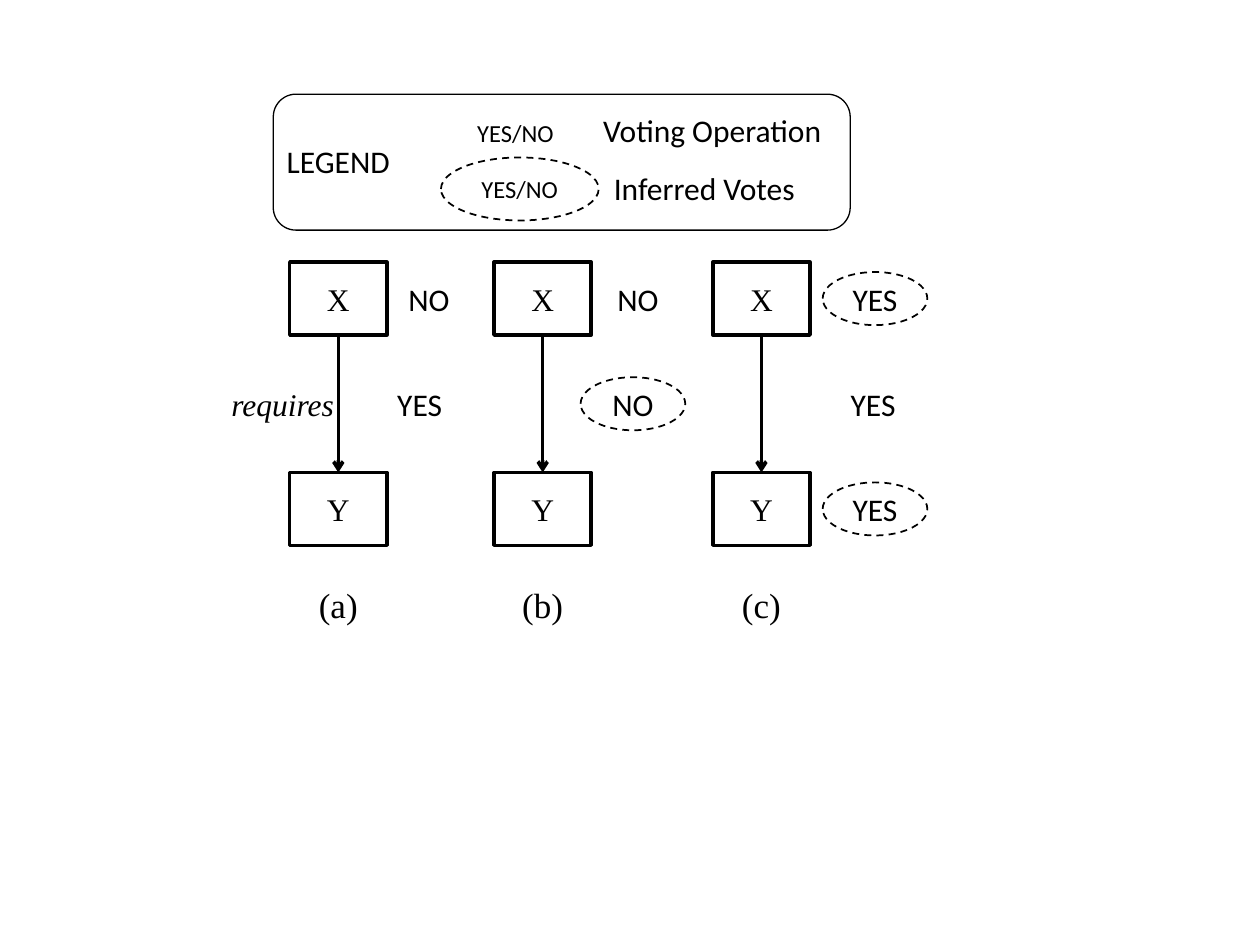
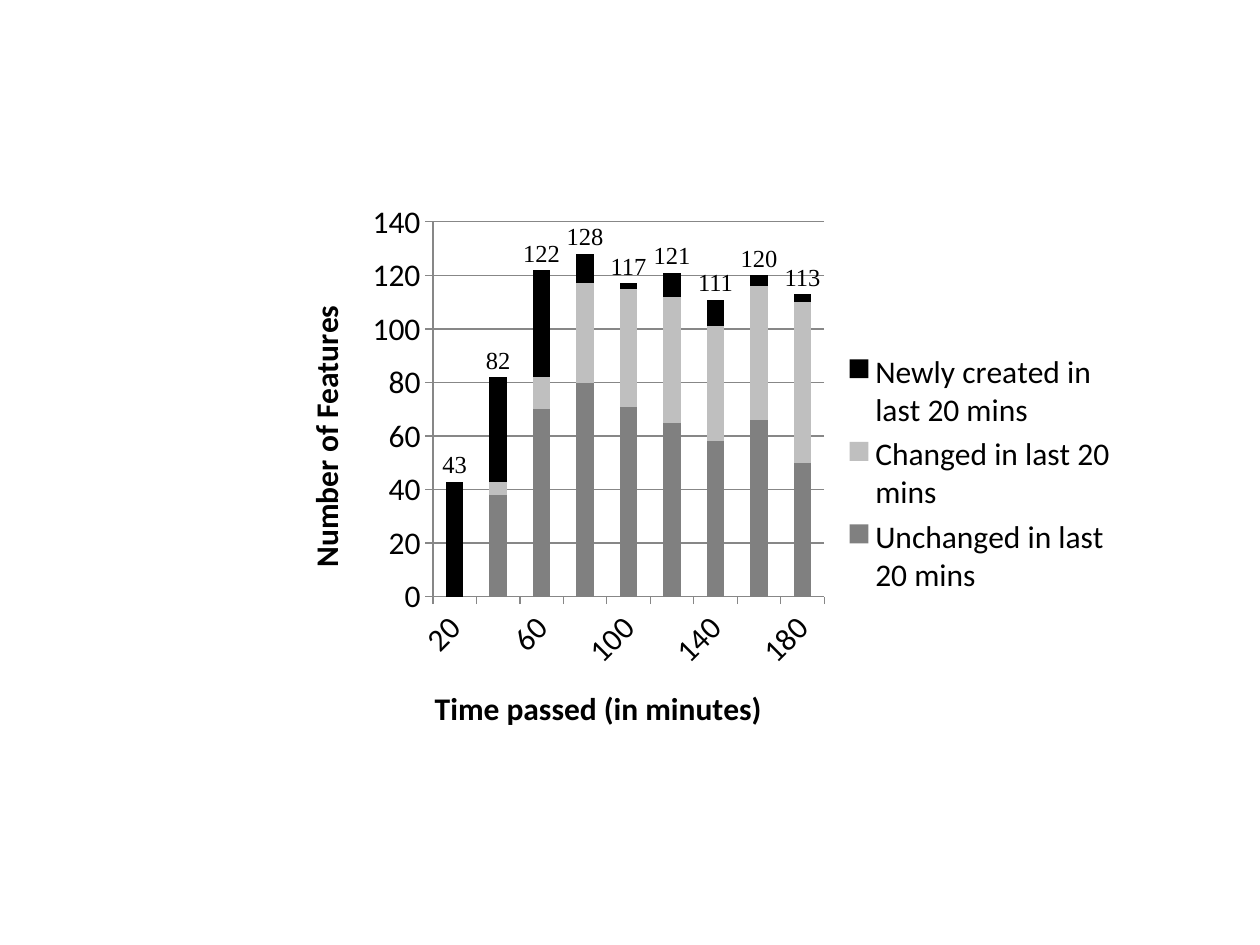
from lxml import etree
from pptx import Presentation
from pptx.chart.data import CategoryChartData
from pptx.dml.color import RGBColor
from pptx.enum.chart import XL_CHART_TYPE, XL_LEGEND_POSITION, XL_TICK_MARK
from pptx.enum.dml import MSO_LINE
from pptx.enum.shapes import MSO_CONNECTOR, MSO_SHAPE
from pptx.enum.text import MSO_ANCHOR, PP_ALIGN
from pptx.oxml import parse_xml
from pptx.oxml.ns import nsdecls, qn
from pptx.util import Cm, Pt

RECTANGLE = MSO_SHAPE.RECTANGLE
ROUNDED = MSO_SHAPE.ROUNDED_RECTANGLE
ELLIPSE = MSO_SHAPE.OVAL
STRAIGHT = MSO_CONNECTOR.STRAIGHT
DASH = MSO_LINE.DASH
CENTER, LEFT = PP_ALIGN.CENTER, PP_ALIGN.LEFT
MIDDLE = MSO_ANCHOR.MIDDLE
STACKED = XL_CHART_TYPE.COLUMN_STACKED
LEGEND_RIGHT = XL_LEGEND_POSITION.RIGHT
TICK_OUTSIDE = XL_TICK_MARK.OUTSIDE

BLACK, WHITE, GRID = "000000", "FFFFFF", "878787"
SANS, SERIF = "Calibri", "Times New Roman"
BLANK_LAYOUT = 6

NODE_WIDTH, NODE_HEIGHT = 1.96, 1.47
ROW_CENTERS = {"X": 0.74, "edge": 2.86, "Y": 4.98}
CAPTION_CENTER = 6.91
PANEL_TOP = 5.28
PANELS = [
    (5.84, "(a)", [("NO", "X", 2.81, False), ("YES", "edge", 2.62, False)]),
    (9.96, "(b)", [("NO", "X", 2.9, False), ("NO", "edge", 2.8, True)]),
    (14.37, "(c)", [("YES", "X", 3.27, True), ("YES", "edge", 3.23, False),
                    ("YES", "Y", 3.27, True)]),
]

MINUTES = range(20, 181, 20)
FEATURES = [
    ("Unchanged in last 20 mins", "808080", [0, 38, 70, 80, 71, 65, 58, 66, 50]),
    ("Changed in last 20 mins", "BFBFBF", [0, 5, 12, 37, 44, 47, 43, 50, 60]),
    ("Newly created in last 20 mins", BLACK, [43, 39, 40, 11, 2, 9, 10, 4, 3]),
]
AXIS_MAXIMUM = 140
PLOT_SHARE = {"x": 0.18, "y": 0.05, "w": 0.46, "h": 0.67}


def color(value):
    return RGBColor.from_string(value)


def style_font(font, size, name=SANS, bold=False, italic=False):
    font.size = Pt(size)
    font.name = name
    font.bold = bold
    font.italic = italic
    font.color.rgb = color(BLACK)


def write(shape, text, size, name=SANS, italic=False):
    frame = shape.text_frame
    frame.word_wrap = False
    frame.vertical_anchor = MIDDLE
    para = frame.paragraphs[0]
    para.text = text
    para.alignment = CENTER
    style_font(para.runs[0].font, size, name, italic=italic)


def add_label(page, text, center_x, center_y, width, size=18, name=SANS, italic=False):
    height = 1.02
    box = page.shapes.add_textbox(Cm(center_x - width / 2), Cm(center_y - height / 2),
                                  Cm(width), Cm(height))
    write(box, text, size, name, italic)
    return box


def add_outline(page, kind, left, top, width, height, line_width, fill=None):
    shape = page.shapes.add_shape(kind, Cm(left), Cm(top), Cm(width), Cm(height))
    shape.shadow.inherit = False
    if fill:
        shape.fill.solid()
        shape.fill.fore_color.rgb = color(fill)
    else:
        shape.fill.background()
    shape.line.color.rgb = color(BLACK)
    shape.line.width = Pt(line_width)
    return shape


def add_inferred_vote(page, text, center_x, center_y, width=2.11, height=1.07, size=18):
    vote = add_outline(page, ELLIPSE, center_x - width / 2, center_y - height / 2,
                       width, height, 1)
    vote.line.dash_style = DASH
    write(vote, text, size)


def add_arrow(page, source, target):
    arrow = page.shapes.add_connector(STRAIGHT, 0, 0, 0, 0)
    arrow.begin_connect(source, 2)
    arrow.end_connect(target, 0)
    arrow.line.color.rgb = color(BLACK)
    arrow.line.width = Pt(2)
    etree.SubElement(arrow.line._get_or_add_ln(), qn("a:tailEnd"), type="arrow")
    etree.SubElement(arrow._element.spPr, qn("a:effectLst"))


def add_legend(page, left, top):
    add_outline(page, ROUNDED, left, top, 11.63, 2.74, 0.75)
    add_label(page, "LEGEND", left + 1.31, top + 1.35, 2.62)
    add_inferred_vote(page, "YES/NO", left + 4.97, top + 1.91, 3.18, 1.27, 14)
    add_label(page, "Inferred Votes", left + 8.69, top + 1.88, 4.22)

    operation = page.shapes.add_textbox(Cm(left + 3.86), Cm(top + 0.21), Cm(7.9), Cm(1.02))
    operation.text_frame.word_wrap = True
    para = operation.text_frame.paragraphs[0]
    para.alignment = LEFT
    tabs = etree.SubElement(para._p.get_or_add_pPr(), qn("a:tabLst"))
    etree.SubElement(tabs, qn("a:tab"), pos=str(Cm(2.54)), algn="l")
    for text, size in [("YES/NO", 14), ("\tVoting Operation", 18)]:
        span = para.add_run()
        span.text = text
        style_font(span.font, size)


def add_panel(page, left, top, caption, votes):
    nodes = []
    for name in ("X", "Y"):
        node = add_outline(page, RECTANGLE, left, top + ROW_CENTERS[name] - NODE_HEIGHT / 2,
                           NODE_WIDTH, NODE_HEIGHT, 2, WHITE)
        write(node, name, 18, SERIF)
        nodes.append(node)
    add_arrow(page, *nodes)
    for text, row, offset, inferred in votes:
        center_x, center_y = left + offset, top + ROW_CENTERS[row]
        if inferred:
            add_inferred_vote(page, text, center_x, center_y)
        else:
            add_label(page, text, center_x, center_y, 1.42)
    add_label(page, caption, left + NODE_WIDTH / 2, top + CAPTION_CENTER, 1.35, 20, SERIF)


def build_voting_slide(deck):
    page = deck.slides.add_slide(deck.slide_layouts[BLANK_LAYOUT])
    requires = add_label(page, "requires", 5.7, PANEL_TOP + ROW_CENTERS["edge"], 2.67,
                         18, SERIF, True)
    requires.fill.solid()
    requires.fill.fore_color.rgb = color(WHITE)
    for left, caption, votes in PANELS:
        add_panel(page, left, PANEL_TOP, caption, votes)
    add_legend(page, 5.51, 1.9)


def style_axis(axis, title):
    axis.major_tick_mark = TICK_OUTSIDE
    axis.format.line.color.rgb = color(GRID)
    axis.format.line.width = Pt(0.75)
    style_font(axis.tick_labels.font, 18)
    axis.axis_title.text_frame.text = title
    style_font(axis.axis_title.text_frame.paragraphs[0].runs[0].font, 18, bold=True)


def fix_plot_area(plot):
    area = plot._element.getparent()
    for old in area.findall(qn("c:layout")):
        area.remove(old)
    shares = "".join(f'<c:{key} val="{value}"/>' for key, value in PLOT_SHARE.items())
    area.insert(0, parse_xml(
        f'<c:layout {nsdecls("c")}><c:manualLayout><c:layoutTarget val="inner"/>'
        f'<c:xMode val="edge"/><c:yMode val="edge"/>{shares}</c:manualLayout></c:layout>'))


def add_feature_chart(page, left, top, width, height):
    data = CategoryChartData()
    data.categories = [str(minute) for minute in MINUTES]
    for name, _, values in FEATURES:
        data.add_series(name, values)
    chart = page.shapes.add_chart(STACKED, Cm(left), Cm(top), Cm(width), Cm(height), data).chart
    style_font(chart.font, 18)
    chart.has_title = False
    chart.has_legend = True
    chart.legend.position = LEGEND_RIGHT
    chart.legend.include_in_layout = False
    style_font(chart.legend.font, 18)

    plot = chart.plots[0]
    plot.vary_by_categories = False
    plot.gap_width = 150
    plot.overlap = 100
    for series, (_, fill, _) in zip(plot.series, FEATURES):
        series.format.fill.solid()
        series.format.fill.fore_color.rgb = color(fill)
    fix_plot_area(plot)

    style_axis(chart.category_axis, "Time passed (in minutes)")
    chart.category_axis._element.find(qn("c:txPr")).find(qn("a:bodyPr")).set("rot", "-2700000")
    values_axis = chart.value_axis
    style_axis(values_axis, "Number of Features")
    values_axis.minimum_scale = 0
    values_axis.maximum_scale = AXIS_MAXIMUM
    values_axis.major_unit = 20
    values_axis.major_gridlines.format.line.color.rgb = color(GRID)
    values_axis.major_gridlines.format.line.width = Pt(0.75)


def add_totals(page, left, top, width, height):
    totals = [sum(column) for column in zip(*(values for _, _, values in FEATURES))]
    step = width * PLOT_SHARE["w"] / len(totals)
    first_center = left + width * PLOT_SHARE["x"] + step / 2
    plot_height = height * PLOT_SHARE["h"]
    baseline = top + height * PLOT_SHARE["y"] + plot_height
    for index, total in enumerate(totals):
        bar_top = baseline - plot_height * total / AXIS_MAXIMUM
        add_label(page, str(total), first_center + index * step, bar_top - 0.36, 1.27, 14, SERIF)


def build_feature_slide(deck):
    page = deck.slides.add_slide(deck.slide_layouts[BLANK_LAYOUT])
    chart_box = (5.64, 3.91, 17.15, 11.28)
    add_feature_chart(page, *chart_box)
    add_totals(page, *chart_box)


def main():
    deck = Presentation()
    deck.slide_width, deck.slide_height = Cm(25.4), Cm(19.05)
    build_voting_slide(deck)
    build_feature_slide(deck)
    deck.save("out.pptx")


if __name__ == "__main__":
    main()
